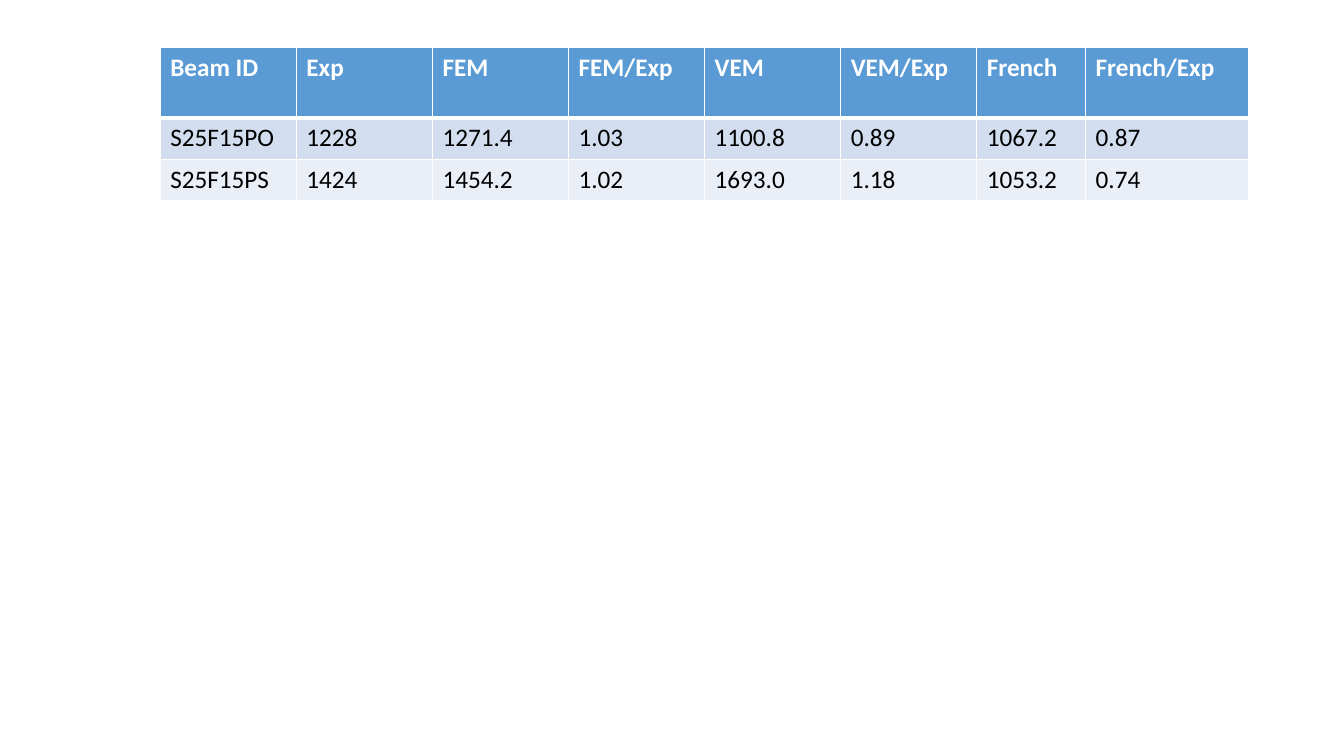
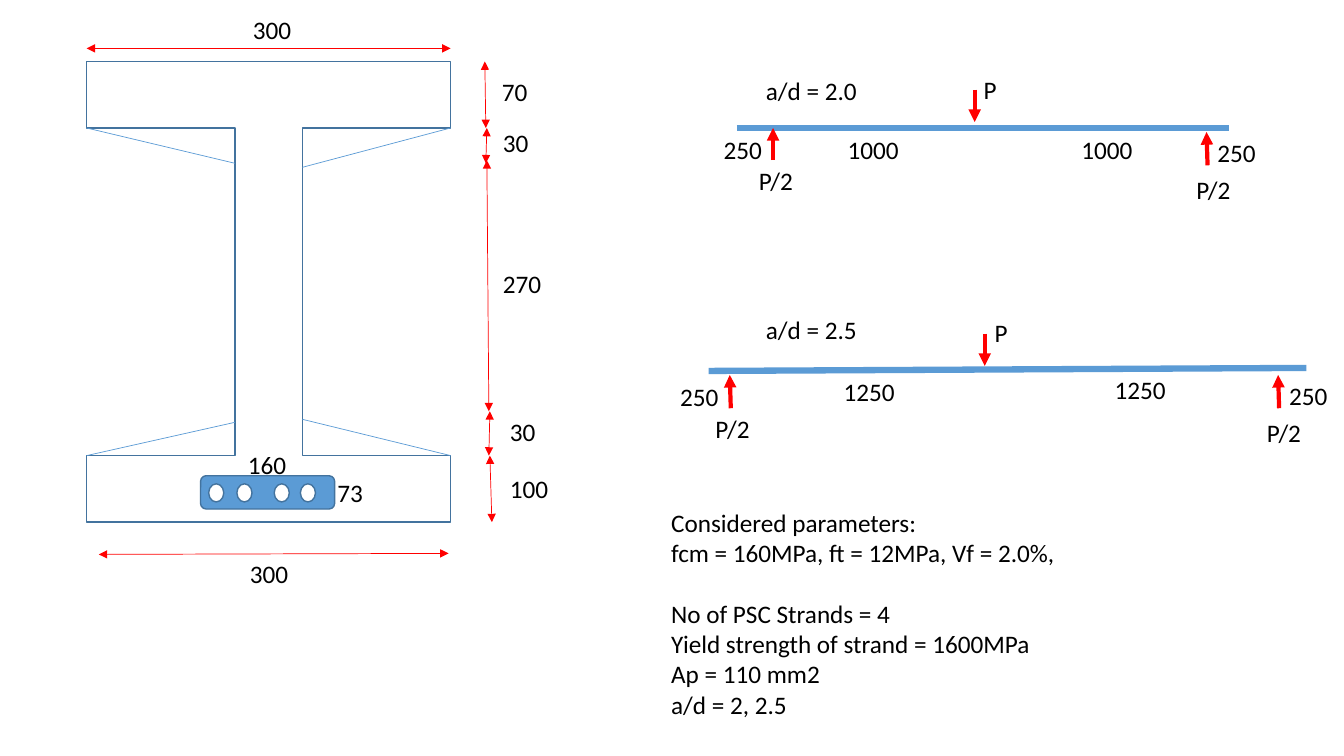
from lxml.etree import SubElement
from pptx import Presentation
from pptx.dml.color import RGBColor
from pptx.enum.shapes import MSO_CONNECTOR as Link, MSO_SHAPE as Form
from pptx.enum.text import MSO_AUTO_SIZE as Fit
from pptx.oxml.ns import qn
from pptx.util import Pt

PX = 9144  # 100 px to the inch
BLUE, EDGE, RED, WHITE, BLACK = "5B9BD5", "43739E", "FF0000", "FFFFFF", "000000"
PALE, MIST = "D2DEEF", "EAEFF7"
hue = RGBColor.from_string


def write(frame, text, color=BLACK, bold=False):
    """Fill the frame, one paragraph a line; a blank line becomes space before the next."""
    blocks = text.split("\n\n")
    frame.text = "\n".join(blocks)
    starts, count = set(), 0
    for block in blocks[:-1]:
        count += len(block.split("\n"))
        starts.add(count)
    for i, para in enumerate(frame.paragraphs):
        if i in starts:
            para.space_before = Pt(22)
        for key, value in {"name": "Calibri", "size": Pt(18), "bold": bold}.items():
            setattr(para.font, key, value)
        para.font.color.rgb = hue(color)


def rule(slide, ends, color, width, heads=()):
    """Draw a straight line with triangles at the named ends."""
    line = slide.shapes.add_connector(Link.STRAIGHT, *[n * PX for n in ends])
    line.line.color.rgb = hue(color)
    line.line.width = Pt(width)
    for head in heads:
        SubElement(line.get_or_add_ln(), qn(f"a:{head}"), type="triangle")
    SubElement(line.element.spPr, qn("a:effectLst"))


deck = Presentation()
deck.slide_width, deck.slide_height = 12192000, 750 * PX
blank = deck.slide_layouts[6]

# Results table
slide = deck.slides.add_slide(blank)
rows = [
    ["Beam ID", "Exp", "FEM", "FEM/Exp", "VEM", "VEM/Exp", "French", "French/Exp"],
    ["S25F15PO", "1228", "1271.4", "1.03", "1100.8", "0.89", "1067.2", "0.87"],
    ["S25F15PS", "1424", "1454.2", "1.02", "1693.0", "1.18", "1053.2", "0.74"],
]
wide = [135] * 6 + [108, 162]
tall = [70, 41, 41]
box = [n * PX for n in (159, 47, sum(wide), sum(tall))]
table = slide.shapes.add_table(len(rows), len(wide), *box).table
for col, width in zip(table.columns, wide):
    col.width = width * PX
for r, (row, fill) in enumerate(zip(rows, (BLUE, PALE, MIST))):
    table.rows[r].height = tall[r] * PX
    for c, text in enumerate(row):
        cell = table.cell(r, c)
        write(cell.text_frame, text, BLACK if r else WHITE, r == 0)
        props = cell._tc.get_or_add_tcPr()
        for side in "LRTB":
            thick = 3 if (r, side) in ((0, "B"), (1, "T")) else 1
            edge = SubElement(props, qn(f"a:ln{side}"), w=str(Pt(thick)))
            SubElement(SubElement(edge, qn("a:solidFill")), qn("a:srgbClr"), val=WHITE)
        cell.fill.solid()
        cell.fill.fore_color.rgb = hue(fill)

# Beam section
slide = deck.slides.add_slide(blank)
shapes = slide.shapes
left, right, web, rib = 86, 447, 233, 300
top, under, over, foot = 61, 127, 452, 518
pen = shapes.build_freeform(left, top, scale=PX)
pen.add_line_segments([
    (right, top), (right, under), (rib, under), (rib, over), (right, over), (right, foot),
    (left, foot), (left, over), (web, over), (web, under), (left, under)])
outline = pen.convert_to_shape()
outline.shadow.inherit = False
outline.fill.background()
outline.line.color.rgb = hue(EDGE)
outline.line.width = Pt(1)

for ends in [(left, under, web, 162), (rib, 166, right, under),
             (right, over, rib, 416), (left, over, web, 419)]:
    rule(slide, ends, BLUE, 0.5)

for ends in [(481, top, 482, under), (483, under, 482, 162), (483, 159, 485, 408),
             (486, 408, 485, over), (486, over, 488, foot),
             (98, 550, 445, 549), (left, 48, right, 48)]:
    rule(slide, ends, RED, 0.5, ("headEnd", "tailEnd"))

parts = [(Form.ROUNDED_RECTANGLE, 199, 472, 133, 33, BLUE)]
parts += [(Form.OVAL, x, 480, 15, 18, WHITE) for x in (207, 235, 272, 298)]
for form, x, y, w, h, fill in parts:
    part = shapes.add_shape(form, x * PX, y * PX, w * PX, h * PX)
    part.shadow.inherit = False
    part.fill.solid()
    part.fill.fore_color.rgb = hue(fill)
    part.line.color.rgb = hue(EDGE)
    part.line.width = Pt(1)

# Loaded beams: the beam, then the load and the two supports
beams = [
    [(731, 127, 1219, 127), (967, 89, 967, 121), (767, 159, 767, 127), (1198, 164, 1197, 131)],
    [(703, 368, 1296, 365), (977, 331, 977, 363), (725, 405, 724, 372), (1269, 405, 1268, 372)],
]
for beam, *forces in beams:
    rule(slide, beam, BLUE, 4.5)
    for force in forces:
        rule(slide, force, RED, 3, ("tailEnd",))

# Labels, grouped by box size
facts = """Considered parameters:
fcm = 160MPa, ft = 12MPa, Vf = 2.0%,

No of PSC Strands = 4
Yield strength of strand = 1600MPa
Ap = 110 mm2
a/d = 2, 2.5"""
notes = {
    (33, 40): [("P", 966, 69), ("P", 977, 310)],
    (46, 40): [("70", 488, 71), ("30", 489, 121), ("30", 496, 408), ("73", 325, 469)],
    (54, 40): [("P/2", 743, 159), ("P/2", 1177, 168), ("P/2", 700, 405), ("P/2", 1247, 409)],
    (59, 40): [("270", 489, 261), ("100", 496, 465), ("160", 236, 441),
               ("300", 238, 549), ("300", 241, 9), ("250", 1198, 131),
               ("250", 708, 128), ("250", 1269, 372), ("250", 665, 373)],
    (71, 40): [("1000", 831, 128), ("1000", 1063, 128), ("1250", 827, 368), ("1250", 1096, 366)],
    (112, 40): [("a/d = 2.0", 750, 70), ("a/d = 2.5", 750, 307)],
    (411, 222): [(facts, 656, 498)],
}
for (w, h), group in notes.items():
    for text, x, y in group:
        frame = shapes.add_textbox(x * PX, y * PX, w * PX, h * PX).text_frame
        write(frame, text)
        for key, value in {"word_wrap": False, "auto_size": Fit.SHAPE_TO_FIT_TEXT}.items():
            setattr(frame, key, value)

deck.save("out.pptx")
